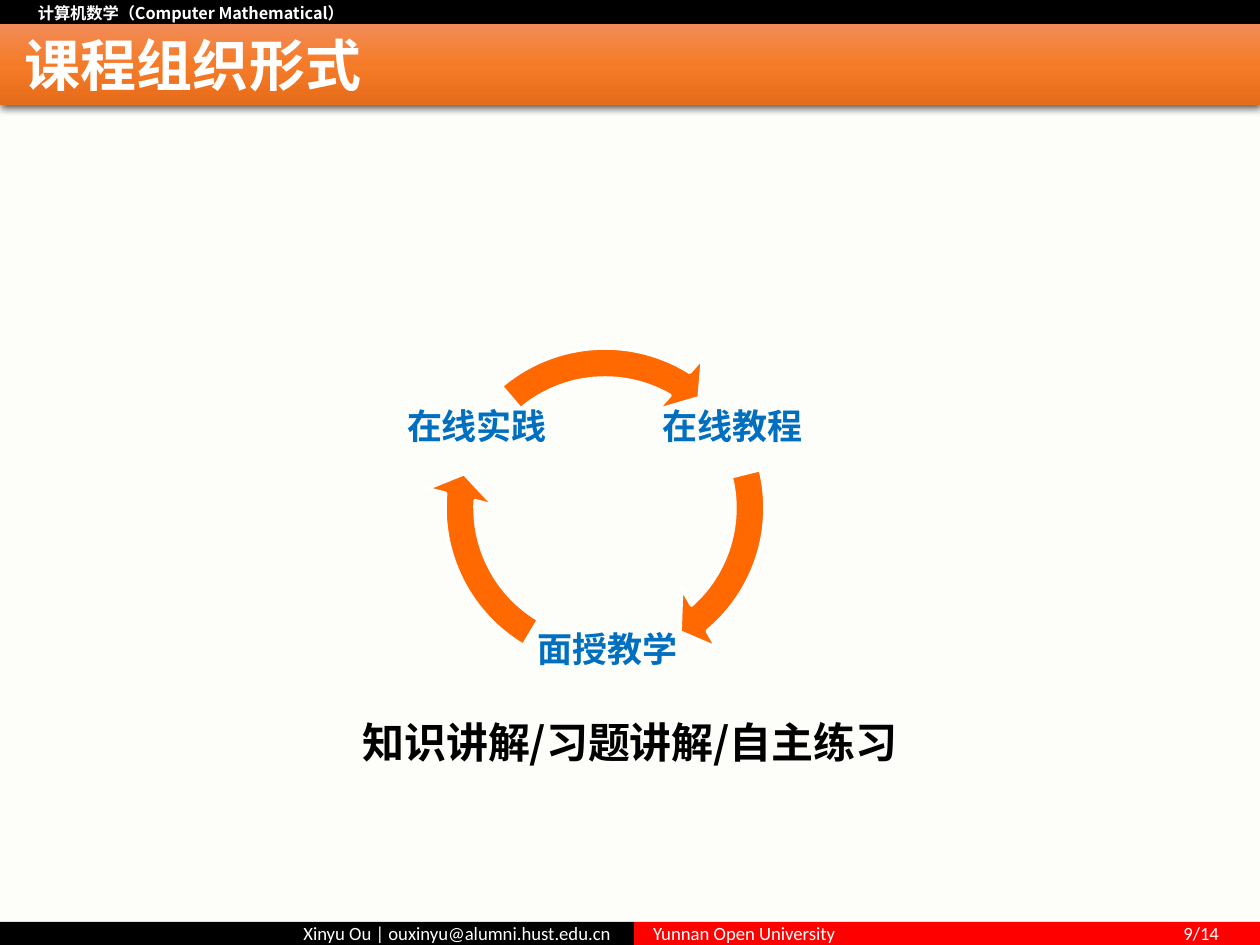
"""Build the course organisation slide: header, three-arrow cycle and footer."""
from dataclasses import dataclass
from math import cos, radians, sin
from typing import Optional

from lxml import etree
from pptx import Presentation
from pptx import util as u
from pptx.dml.color import RGBColor
from pptx.enum import shapes, text
from pptx.oxml import parse_xml
from pptx.oxml.ns import nsdecls, qn

PX = 914400 / 126
W, H = 1260, 945
CJK, LATIN = "Noto Sans CJK SC", "Calibri"
BLACK = RGBColor(0x00, 0x00, 0x00)
WHITE = RGBColor(0xFF, 0xFF, 0xFF)
IVORY = RGBColor(0xFD, 0xFD, 0xF9)
RED = RGBColor(0xFF, 0x00, 0x00)
BLUE = RGBColor(0x00, 0x6F, 0xC0)
ORANGE = RGBColor(0xFF, 0x69, 0x00)
BAR_STOPS = ((0, "F18C57"), (50, "F67B28"), (100, "E56C19"))
CENTRE_X, CENTRE_Y = 605, 508
OUTER, INNER, WING_OUT, TIP, WING_IN = 160, 130, 179, 145, 111
LEFT, MID, RIGHT = text.PP_ALIGN.LEFT, text.PP_ALIGN.CENTER, text.PP_ALIGN.RIGHT
MIDDLE, TOP = text.MSO_ANCHOR.MIDDLE, text.MSO_ANCHOR.TOP


@dataclass(frozen=True)
class Label:
    words: str
    box: tuple[int, int, int, int]
    size: float
    color: RGBColor
    font: str = CJK
    bold: bool = True
    align: text.PP_ALIGN = LEFT
    anchor: text.MSO_ANCHOR = TOP
    insets: tuple[int, int, int, int] = (0, 1, 0, 0)
    fill: Optional[RGBColor] = None
    tab: int = 0
    leading: float = 1.0
    tracking: int = 0


@dataclass(frozen=True)
class Arrow:
    tail: float
    neck: float


BANDS = (
    Label("计算机数学（Computer Mathematical）", (0, 0, W, 26), 9.3, WHITE,
          anchor=MIDDLE, insets=(38, 5, 19, 5), fill=BLACK),
    Label("Xinyu Ou | ouxinyu@alumni.hust.edu.cn", (0, 922, 634, 23), 10.7, WHITE, LATIN,
          False, RIGHT, MIDDLE, (19, 5, 23, 5), BLACK),
    Label("Yunnan Open University\t9/14", (634, 922, 626, 23), 10.7, WHITE, LATIN,
          False, insets=(19, 0, 19, 0), fill=RED, tab=566),
)
TITLE = Label("课程组织形式", (0, 30, W, 68), 32, WHITE, anchor=MIDDLE, insets=(25, 0, 0, 0))
STEPS = tuple(
    Label(words, box, 20, BLUE, align=align, leading=0.82, tracking=-10)
    for words, box, align in (
        ("在线教程", (663, 411, 144, 44), LEFT),
        ("在线实践", (407, 411, 144, 44), LEFT),
        ("面授教学", (377, 634, 461, 44), MID),
    )
)
SUMMARY = Label("知识讲解/习题讲解/自主练习", (335, 720, 590, 63), 24, BLACK, align=MID,
                insets=(13, 6, 13, 6), leading=0.82, tracking=-10)
ARROWS = (Arrow(229.6, 302), Arrow(-13.9, 50.3), Arrow(120.7, 185.2))


def emu(px: float) -> int:
    return round(px * PX)


def add_rect(s, box: tuple[int, int, int, int], fill: RGBColor):
    sp = s.shapes.add_shape(shapes.MSO_SHAPE.RECTANGLE, *map(emu, box))
    sp.shadow.inherit = False
    sp.fill.solid()
    sp.fill.fore_color.rgb = fill
    sp.line.fill.background()
    return sp


def add_label(s, label: Label) -> None:
    sp = add_rect(s, label.box, label.fill) if label.fill else s.shapes.add_textbox(*map(emu, label.box))
    tf = sp.text_frame
    sides = ("margin_left", "margin_top", "margin_right", "margin_bottom")
    frame = {"word_wrap": True, "vertical_anchor": label.anchor,
             **{side: emu(px) for side, px in zip(sides, label.insets)}}
    for name, value in frame.items():
        setattr(tf, name, value)
    p = tf.paragraphs[0]
    p.alignment, p.line_spacing = label.align, label.leading
    if label.tab:
        tabs = etree.SubElement(p._p.get_or_add_pPr(), qn("a:tabLst"))
        etree.SubElement(tabs, qn("a:tab"), pos=str(emu(label.tab)), algn="r")
    r = p.add_run()
    r.text = label.words
    for name, value in {"name": label.font, "size": u.Pt(label.size), "bold": label.bold}.items():
        setattr(r.font, name, value)
    r.font.color.rgb = label.color
    rpr = r._r.get_or_add_rPr()
    etree.SubElement(rpr, qn("a:ea"), typeface=label.font)
    if label.tracking:
        rpr.set("spc", str(label.tracking))


def add_title_bar(s) -> None:
    sp = add_rect(s, (0, 24, W, 81), ORANGE)
    stops = "".join(f'<a:gs pos="{pos * 1000}"><a:srgbClr val="{rgb}"/></a:gs>' for pos, rgb in BAR_STOPS)
    grad = parse_xml(f'<a:gradFill {nsdecls("a")}><a:gsLst>{stops}</a:gsLst>'
                     '<a:lin ang="5400000" scaled="0"/></a:gradFill>')
    pr = sp._element.spPr
    pr.replace(pr.find(qn("a:solidFill")), grad)
    shadow = etree.SubElement(pr.find(qn("a:effectLst")), qn("a:outerShdw"), blurRad="57150",
                              dist="19050", dir="5400000", algn="ctr", rotWithShape="0")
    color = etree.SubElement(shadow, qn("a:srgbClr"), val="000000")
    etree.SubElement(color, qn("a:alpha"), val="63000")


def polar(radius: float, angle: float) -> tuple[int, int]:
    a = radians(angle)
    return emu(CENTRE_X + radius * cos(a)), emu(CENTRE_Y + radius * sin(a))


def arc(radius: float, start: float, end: float, steps: int = 28) -> list[tuple[int, int]]:
    return [polar(radius, start + (end - start) * i / steps) for i in range(steps + 1)]


def add_arrow(s, arrow: Arrow) -> None:
    neck = arrow.neck
    head = [polar(WING_OUT, neck + 1), polar(TIP, neck + 8.5), polar(WING_IN, neck - 4)]
    points = arc(OUTER, arrow.tail, neck) + head + arc(INNER, neck - 2, arrow.tail)
    builder = s.shapes.build_freeform(*points[0])
    builder.add_line_segments(points[1:], close=True)
    sp = builder.convert_to_shape()
    sp.shadow.inherit = False
    sp.fill.solid()
    sp.fill.fore_color.rgb = ORANGE
    sp.line.color.rgb = WHITE
    sp.line.width = u.Pt(2)


def main() -> None:
    prs = Presentation()
    prs.slide_width, prs.slide_height = emu(W), emu(H)
    s = prs.slides.add_slide(prs.slide_layouts[6])
    add_rect(s, (0, 0, W, H), IVORY)
    for band in BANDS:
        add_label(s, band)
    add_title_bar(s)
    add_label(s, TITLE)
    for arrow in ARROWS:
        add_arrow(s, arrow)
    for label in (*STEPS, SUMMARY):
        add_label(s, label)
    prs.save("out.pptx")


if __name__ == "__main__":
    main()
